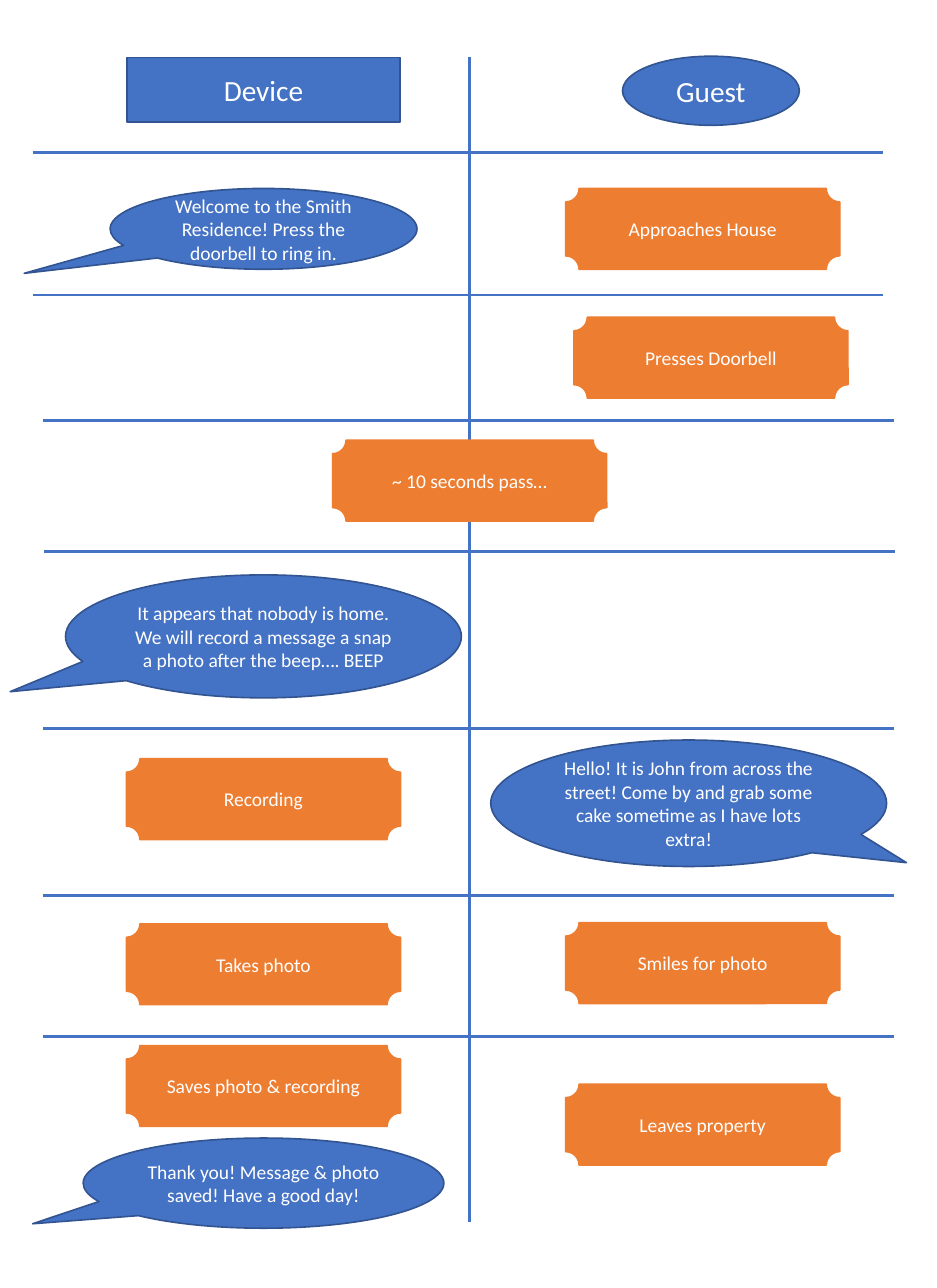
"""Builds a two-lane storyboard of a smart doorbell and its guest."""
from lxml.etree import SubElement
from pptx import Presentation
from pptx.dml.color import RGBColor
from pptx.enum.shapes import MSO_CONNECTOR, MSO_SHAPE
from pptx.enum.text import MSO_ANCHOR, PP_ALIGN
from pptx.oxml.ns import qn
from pptx.util import Inches, Pt

BLUE = RGBColor(0x44, 0x72, 0xC4)
NAVY = RGBColor(0x32, 0x54, 0x91)
ORANGE = RGBColor(0xED, 0x7D, 0x31)
WHITE = RGBColor(0xFF, 0xFF, 0xFF)

deck = Presentation()
deck.slide_width, deck.slide_height = Inches(8), Inches(11)
slide = deck.slides.add_slide(deck.slide_layouts[6])

DEVICE, MIDDLE, GUEST = 2.25, 4.01, 6
ROWS = [0, 1.3, 2.52, 3.59, 4.71, 6.22, 7.65, 8.85]
LEFTS = [0.28, 0.28, 0.37, 0.38, 0.37, 0.37, 0.37]
SPAN = 7.26


def add_rule(x1, y1, x2, y2):
    rule = slide.shapes.add_connector(
        MSO_CONNECTOR.STRAIGHT, Inches(x1), Inches(y1), Inches(x2), Inches(y2))
    rule.line.color.rgb = BLUE
    rule.line.width = Pt(1.75)
    SubElement(rule._element.spPr, qn("a:effectLst"))


def add_step(kind, center, row, drop, width, height, text,
             fill=BLUE, edge=NAVY, size=12, tail=()):
    step = slide.shapes.add_shape(
        kind, Inches(center - width / 2), Inches(ROWS[row] + drop),
        Inches(width), Inches(height))
    for index, value in enumerate(tail):
        step.adjustments[index] = value
    step.shadow.inherit = False
    step.fill.solid()
    step.fill.fore_color.rgb = fill
    step.line.color.rgb = edge
    step.line.width = Pt(1)
    frame = step.text_frame
    frame.text = text
    frame.word_wrap = True
    frame.vertical_anchor = MSO_ANCHOR.MIDDLE
    line = frame.paragraphs[0]
    line.alignment = PP_ALIGN.CENTER
    font = line.runs[0].font
    font.name, font.size, font.color.rgb = "Calibri", Pt(size), WHITE


add_rule(MIDDLE, 0.49, MIDDLE, 10.44)
for left, top in zip(LEFTS, ROWS[1:]):
    add_rule(left, top, left + SPAN, top)

add_step(MSO_SHAPE.RECTANGLE, DEVICE, 0, 0.49, 2.33, 0.55, "Device", size=18)
add_step(MSO_SHAPE.OVAL, GUEST + 0.07, 0, 0.48, 1.51, 0.59, "Guest", size=18)

ACTIONS = [
    (GUEST, 1, 0.31, "Approaches House"),
    (GUEST + 0.07, 2, 0.19, "Presses Doorbell"),
    (MIDDLE, 3, 0.17, "~ 10 seconds pass…"),
    (DEVICE, 5, 0.26, "Recording"),
    (DEVICE, 6, 0.24, "Takes photo"),
    (GUEST, 6, 0.23, "Smiles for photo"),
    (DEVICE, 7, 0.08, "Saves photo & recording"),
    (GUEST, 7, 0.41, "Leaves property"),
]
for center, row, drop, text in ACTIONS:
    add_step(MSO_SHAPE.PLAQUE, center, row, drop, 2.34, 0.69, text, ORANGE, ORANGE)

SPEECH = [
    (DEVICE, 1, 0.31, 2.62, 0.69, (-0.78, 0.55),
     "Welcome to the Smith Residence! Press the doorbell to ring in."),
    (DEVICE, 4, 0.2, 3.38, 1.05, (-0.64, 0.45),
     "It appears that nobody is home. We will record a message a snap "
     "a photo after the beep…. BEEP"),
    (GUEST - 0.12, 5, 0.1, 3.38, 1.08, (0.55, 0.47),
     "Hello! It is John from across the street! Come by and grab some "
     "cake sometime as I have lots extra!"),
    (DEVICE, 7, 0.87, 3.08, 0.77, (-0.64, 0.45),
     "Thank you! Message & photo saved! Have a good day!"),
]
for center, row, drop, width, height, tail, text in SPEECH:
    add_step(MSO_SHAPE.OVAL_CALLOUT, center, row, drop, width, height, text, tail=tail)

deck.save("out.pptx")
